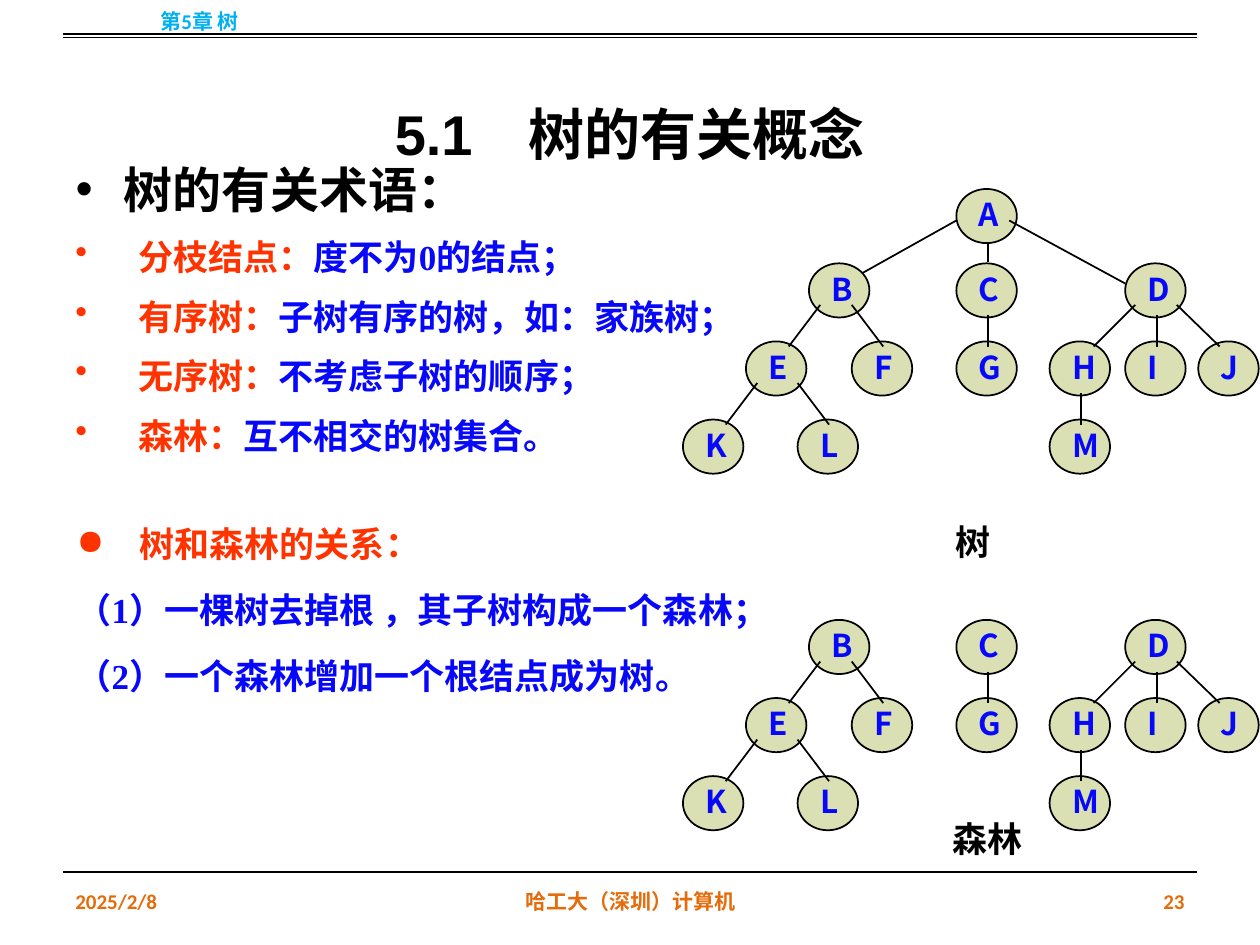
from lxml import etree
from pptx import Presentation
from pptx.enum import shapes, text
from pptx.oxml import ns
from pptx.util import Inches, Pt
from pptx.dml.color import RGBColor

COLORS = {"black": "000000", "blue": "0707F9", "red": "FF3300",
          "orange": "E46C0A", "sky": "00B0F0", "node": "DBE0B4"}
CJK = "Noto Sans CJK SC"
ALIGN = text.PP_ALIGN
MIDDLE = text.MSO_ANCHOR.MIDDLE


class Sheet:
    """The current slide and the style of its elements."""

    def __init__(self, page):
        self.page = page

    def color(self, name):
        return RGBColor.from_string(COLORS[name])

    def child(self, parent, tag, **attributes):
        return etree.SubElement(parent, ns.qn(tag), attributes)

    def paragraph(self, para, spans, font, size, align=ALIGN.LEFT,
                  spacing=None, before=0, indent=0, bullet=None):
        """Fill a paragraph with (wording, colour) spans; before is in percent."""
        layout = para._p.get_or_add_pPr()
        if indent:
            layout.set("marL", str(Inches(indent)))
            layout.set("indent", str(-Inches(indent)))
        gap = self.child(layout, "a:spcBef")
        self.child(gap, "a:spcPct", val=str(before * 1000))
        if bullet:
            self.child(layout, "a:buChar", char=bullet)
        para.alignment = align
        if spacing:
            para.line_spacing = spacing
        for wording, color in spans:
            span = para.add_run()
            span.text = wording
            values = {"name": font, "size": Pt(size), "bold": True}
            for key, value in values.items():
                setattr(span.font, key, value)
            span.font.color.rgb = self.color(color)
            self.child(span._r.get_or_add_rPr(), "a:ea", typeface=CJK)

    def frame(self, box, anchor):
        values = {"word_wrap": True, "auto_size": text.MSO_AUTO_SIZE.NONE,
                  "vertical_anchor": anchor}
        for key, value in values.items():
            setattr(box.text_frame, key, value)
        return box.text_frame

    def placeholder(self, box, place, spans, anchor=text.MSO_ANCHOR.TOP, **style):
        for key, value in zip(("left", "top", "width", "height"), place):
            setattr(box, key, Inches(value))
        self.paragraph(self.frame(box, anchor).paragraphs[0], spans, **style)

    def textbox(self, place, lines, parent=None, anchor=text.MSO_ANCHOR.TOP, **style):
        """Lines are (spans, bullet) pairs, half a line apart."""
        parent = parent or self.page.shapes
        frame = self.frame(parent.add_textbox(*map(Inches, place)), anchor)
        for number, (spans, bullet) in enumerate(lines):
            para = frame.add_paragraph() if number else frame.paragraphs[0]
            self.paragraph(para, spans, before=50 if number else 0,
                           bullet=bullet, **style)

    def label(self, place, wording, color, **style):
        self.textbox(place, [([(wording, color)], None)], **style)

    def line(self, start, end, width, parent=None):
        parent = parent or self.page.shapes
        link = parent.add_connector(shapes.MSO_CONNECTOR.STRAIGHT,
                                    *map(Inches, (*start, *end)))
        link.line.color.rgb = self.color("black")
        link.line.width = Pt(width)
        self.child(link._element.spPr, "a:effectLst")

    def node(self, letter, x, y, parent):
        oval = parent.add_shape(shapes.MSO_SHAPE.OVAL,
                                *map(Inches, (x, y, 0.48, 0.43)))
        oval.shadow.inherit = False
        oval.fill.solid()
        oval.fill.fore_color.rgb = self.color("node")
        oval.line.color.rgb = self.color("black")
        oval.line.width = Pt(1)
        self.label((x + 0.08, y, 0.48, 0.4), letter, "blue", parent=parent,
                   font=CJK, size=18)

    def tree(self, nodes, edges, drop=0):
        group = self.page.shapes.add_group_shape().shapes
        for x1, y1, x2, y2 in edges:
            self.line((x1, y1 + drop), (x2, y2 + drop), 1, group)
        for letter, x, y in nodes:
            self.node(letter, x, y + drop, group)


# Node positions by level, and edges running from parent to child
LEVELS = [
    (1.5, {"A": 7.59}),
    (2.09, {"B": 6.42, "C": 7.59, "D": 8.93}),
    (2.71, {"E": 5.92, "F": 6.76, "G": 7.59, "H": 8.33, "I": 8.93, "J": 9.51}),
    (3.33, {"K": 5.42, "L": 6.33, "M": 8.33}),
]
NODES = [(letter, x, y) for y, row in LEVELS for letter, x in row.items()]
ROOT_EDGES = [(7.59, 1.75, 6.84, 2.17), (7.84, 1.92, 7.84, 2.08),
              (8.01, 1.75, 8.93, 2.25)]
SUBTREE_EDGES = [
    (6.51, 2.42, 6.26, 2.75), (6.76, 2.42, 7.01, 2.75), (7.84, 2.5, 7.84, 2.75),
    (9.01, 2.42, 8.68, 2.75), (9.18, 2.5, 9.18, 2.75), (9.34, 2.42, 9.68, 2.75),
    (6.01, 3.04, 5.76, 3.37), (6.33, 3.04, 6.58, 3.37), (8.58, 3.12, 8.58, 3.37),
]
TERMS = [("分枝结点：", "度不为0的结点；"),
         ("有序树：", "子树有序的树，如：家族树；"),
         ("无序树：", "不考虑子树的顺序；"),
         ("森林：", "互不相交的树集合。")]
RELATIONS = [([("树和森林的关系：", "red")], "●"),
             ([("（1）一棵树去掉根 ，其子树构成一个森林；", "blue")], None),
             ([("（2）一个森林增加一个根结点成为树。", "blue")], None)]


def main():
    deck = Presentation()
    deck.slide_width, deck.slide_height = Inches(10), Inches(7.5)
    page = deck.slides.add_slide(deck.slide_layouts[1])
    sheet = Sheet(page)

    # Title and heading
    sheet.placeholder(page.shapes.title, (0.5, 0.3, 9, 1.25),
                      [("5.1　树的有关概念", "black")], anchor=MIDDLE,
                      font="Arial", size=32, align=ALIGN.CENTER, spacing=1.5)
    sheet.placeholder(page.placeholders[1], (0.5, 1.25, 9, 5.58),
                      [("树的有关术语：", "black")], font="Calibri", size=28,
                      spacing=Pt(31), indent=0.38, bullet="•")

    # Header, footer and rules
    margins = [
        ((0.5, 6.95, 2.33, 0.4), "2025/2/8", "orange", ALIGN.LEFT),
        ((3.42, 6.95, 3.17, 0.4), "哈工大（深圳）计算机", "orange", ALIGN.CENTER),
        ((7.17, 6.95, 2.33, 0.4), "23", "orange", ALIGN.RIGHT),
        ((0, -0.03, 3.17, 0.4), "第5章 树", "sky", ALIGN.CENTER),
    ]
    for place, wording, color, align in margins:
        sheet.label(place, wording, color, anchor=MIDDLE, align=align,
                    font="Calibri", size=12)
    for y in (0.3, 0.27, 6.92):
        sheet.line((0.5, y), (9.5, y), 0.75)

    # Terms, with the whole tree
    body = {"font": "Times New Roman", "size": 20}
    caption = {**body, "align": ALIGN.CENTER}
    sheet.textbox((0.5, 1.82, 10.24, 1.95),
                  [([(term, "red"), (meaning, "blue")], "•")
                   for term, meaning in TERMS], indent=0.5, **body)
    sheet.tree(NODES, ROOT_EDGES + SUBTREE_EDGES)
    sheet.label((7.41, 4.08, 0.62, 0.44), "树", "black", **caption)

    # Relations, with the forest left when the root is removed
    sheet.textbox((0.51, 4.05, 6.99, 1.95), RELATIONS, indent=0.5,
                  spacing=1.15, **body)
    sheet.tree(NODES[1:], SUBTREE_EDGES, drop=2.83)
    sheet.label((7.14, 6.44, 1.4, 0.44), "森林", "black", **caption)

    deck.save("out.pptx")


if __name__ == "__main__":
    main()
